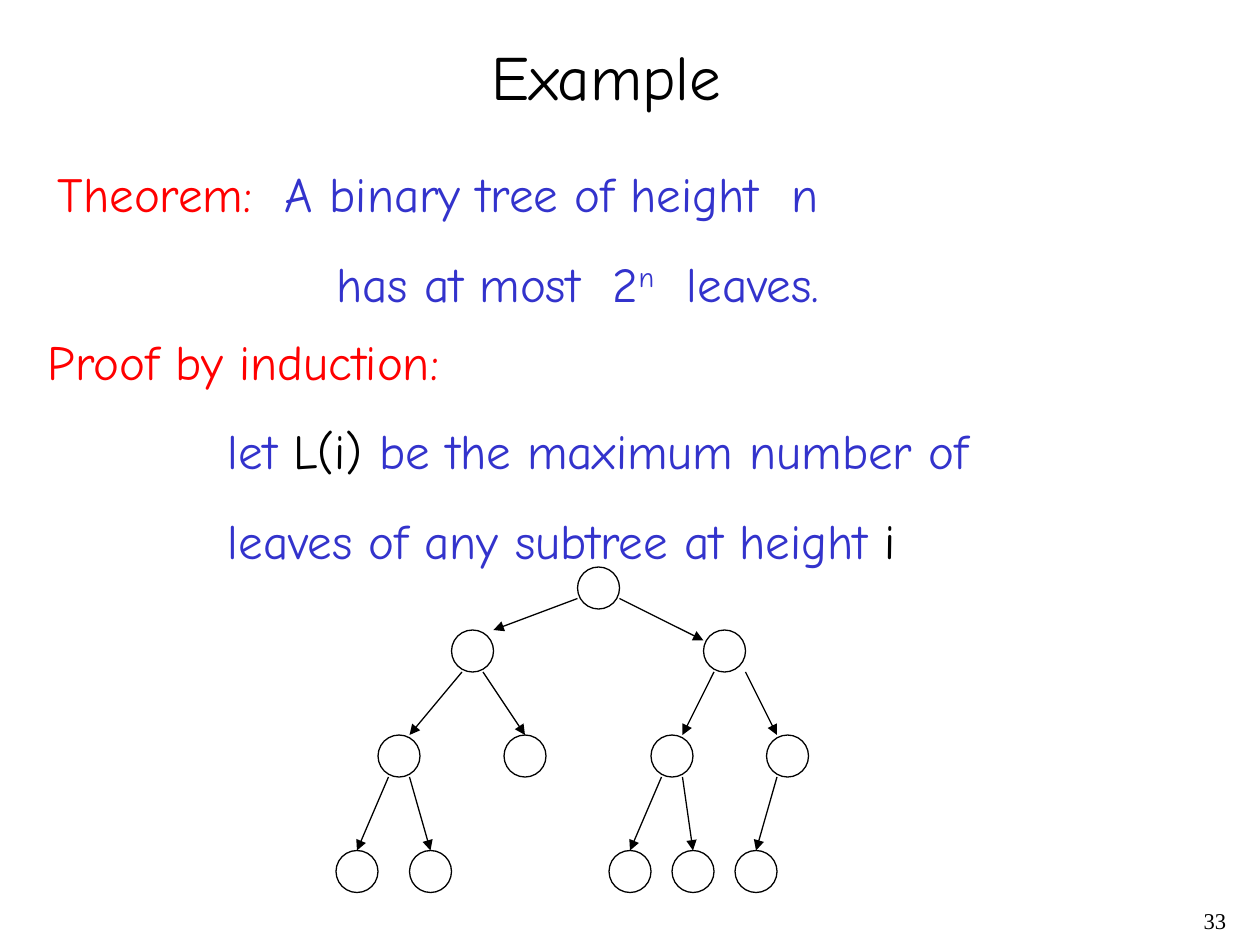
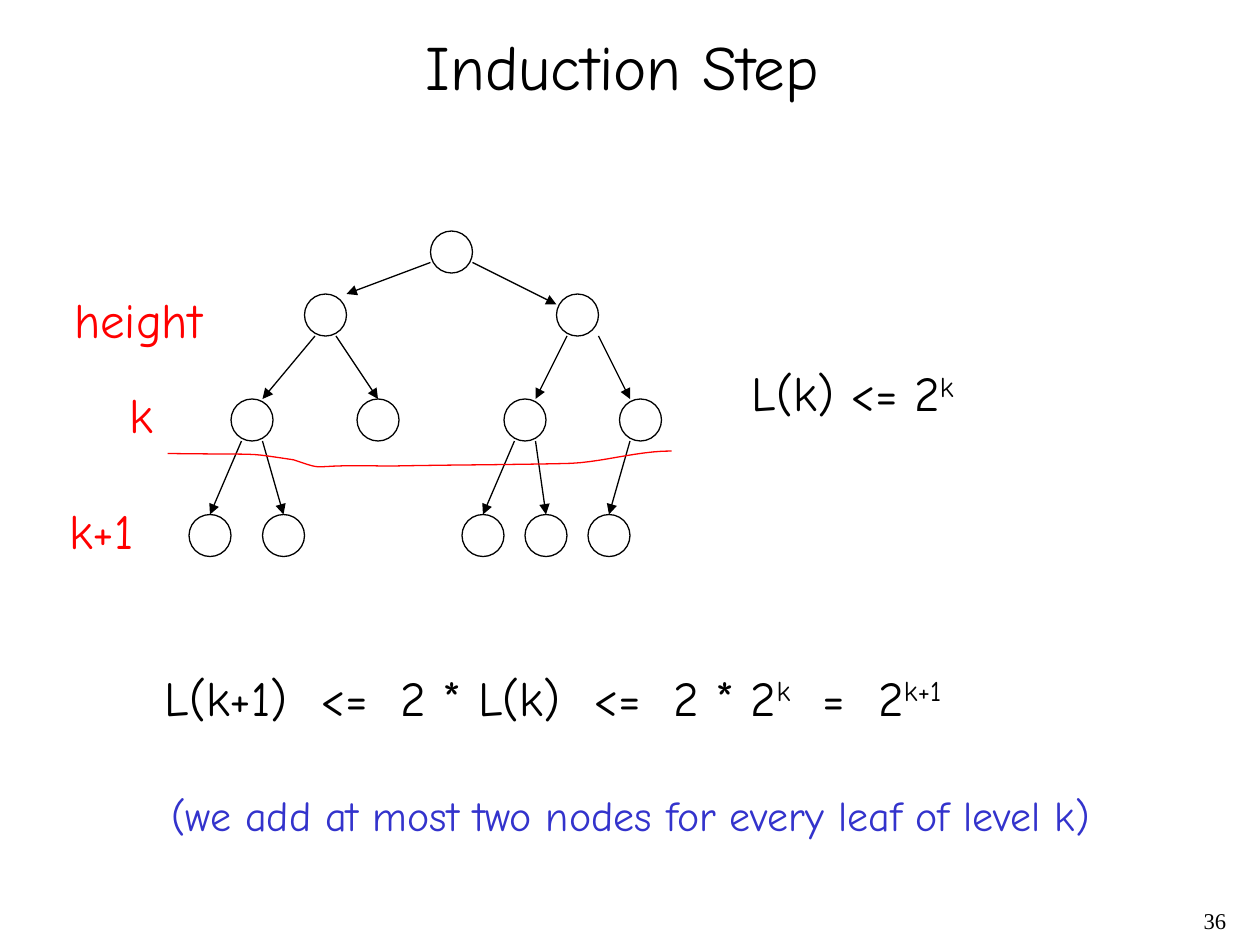
import pptx
import pptx.dml.color
import pptx.enum.shapes
import pptx.enum.text
import pptx.oxml
import pptx.oxml.ns
import pptx.util

Inches = pptx.util.Inches
Pt = pptx.util.Pt
BLACK = pptx.dml.color.RGBColor(0x00, 0x00, 0x00)
RED = pptx.dml.color.RGBColor(0xFF, 0x00, 0x00)
BLUE = pptx.dml.color.RGBColor(0x33, 0x33, 0xCC)
TEXT_FONT = "Comic Neue"
NUMBER_FONT = "Times New Roman"
TITLE_SIZE, BODY_SIZE, NOTE_SIZE = 36, 28, 24
LINE_WIDTH = Pt(0.75)

# The tree is laid out in twelfths of an inch, measured from the root's corner.
UNIT = Inches(1) // 12
NODE_SIZE = 4
TREE_LEVELS = {
    0: [0],
    6: [-12, 12],
    16: [-19, -7, 7, 18],
    27: [-23, -16, 3, 9, 15],
}
TREE_EDGES = [
    ((0, 3), (-8, 6)), ((4, 3), (12, 7)),
    ((-11, 10), (-16, 16)), ((-9, 10), (-5, 16)),
    ((13, 10), (10, 16)), ((16, 10), (19, 16)),
    ((-18, 20), (-21, 27)), ((-16, 20), (-14, 27)),
    ((8, 20), (5, 27)), ((10, 20), (11, 27)), ((19, 20), (17, 27)),
]


def add_text(slide, box, lines, size=BODY_SIZE):
    """Each line is (indent in inches, runs); a run is (text, colour, is superscript)."""
    shape = slide.shapes.add_textbox(*[Inches(length) for length in box])
    text_frame = shape.text_frame
    text_frame.word_wrap = True
    text_frame.margin_right = 0  # room so that tightly sized boxes never break a line
    for number, (indent, runs) in enumerate(lines):
        paragraph = text_frame.add_paragraph() if number else text_frame.paragraphs[0]
        paragraph.space_before = Pt(size * 0.625)
        if indent:
            paragraph._p.get_or_add_pPr().set("marL", str(Inches(indent)))
        for text, colour, superscript in runs:
            run = paragraph.add_run()
            run.text = text
            run.font.name = TEXT_FONT
            run.font.size = Pt(size)
            run.font.color.rgb = colour
            if superscript:
                run._r.get_or_add_rPr().set("baseline", "30000")


def add_tree(slide, root_left, root_top):
    node_tops = {}
    for top, lefts in TREE_LEVELS.items():
        for left in lefts:
            node = slide.shapes.add_shape(
                pptx.enum.shapes.MSO_SHAPE.OVAL,
                (root_left + left) * UNIT, (root_top + top) * UNIT,
                NODE_SIZE * UNIT, NODE_SIZE * UNIT)
            node.shadow.inherit = False
            node.fill.background()
            node.line.color.rgb = BLACK
            node.line.width = LINE_WIDTH
            node_tops[left + NODE_SIZE // 2, top] = node
    for start, end in TREE_EDGES:
        edge = slide.shapes.add_connector(
            pptx.enum.shapes.MSO_CONNECTOR.STRAIGHT,
            (root_left + start[0]) * UNIT, (root_top + start[1]) * UNIT,
            (root_left + end[0]) * UNIT, (root_top + end[1]) * UNIT)
        if end in node_tops:
            edge.end_connect(node_tops[end], 0)
        edge.line.color.rgb = BLACK
        edge.line.width = LINE_WIDTH
        arrowhead = pptx.oxml.parse_xml(
            f'<a:tailEnd {pptx.oxml.ns.nsdecls("a")} type="triangle"/>')
        edge.line._get_or_add_ln().append(arrowhead)
        edge._element.spPr.append(
            pptx.oxml.parse_xml(f'<a:effectLst {pptx.oxml.ns.nsdecls("a")}/>'))


presentation = pptx.Presentation()
presentation.slide_width = Inches(10)
presentation.slide_height = Inches(7.5)

# What both slides share: number, title and tree
slides = []
for number, title, title_box, root in [
    ("33", "Example", (3.8, 0.25, 2.03, 0.7), (55, 54)),
    ("36", "Induction Step", (3.28, 0.17, 3.33, 0.7), (41, 22)),
]:
    slide = presentation.slides.add_slide(presentation.slide_layouts[6])
    number_box = slide.shapes.add_textbox(
        Inches(7.75), Inches(7.17), Inches(2.08), Inches(0.33))
    number_box.text_frame.word_wrap = True
    paragraph = number_box.text_frame.paragraphs[0]
    paragraph.text = number
    paragraph.alignment = pptx.enum.text.PP_ALIGN.RIGHT
    paragraph.line_spacing = 0.9
    number_font = paragraph.runs[0].font
    number_font.name = NUMBER_FONT
    number_font.size = Pt(12.9)
    number_font.color.rgb = BLACK
    add_text(slide, title_box, [(0, [(title, BLACK, False)])], TITLE_SIZE)
    add_tree(slide, *root)
    slides.append(slide)
example_slide, step_slide = slides

# Example: theorem and start of the proof
add_text(example_slide, (0.36, 1.25, 6.25, 1.28), [
    (0, [("Theorem:  ", RED, False), ("A binary tree of height  n", BLUE, False)]),
    (2.21, [("has at most  2", BLUE, False), ("n", BLUE, True),
            ("  leaves.", BLUE, False)]),
])
add_text(example_slide, (0.28, 2.58, 7.63, 1.99), [
    (0, [("Proof by induction:", RED, False)]),
    (1.43, [("let ", BLUE, False), ("L(i)", BLACK, False),
            (" be the maximum number of", BLUE, False)]),
    (1.43, [("leaves of any subtree at height ", BLUE, False), ("i", BLACK, False)]),
])

# Induction step: level labels, formulas and remark
for label, box in [
    ("height", (0.49, 2.25, 1.21, 0.57)),
    ("k", (0.93, 3, 0.39, 0.57)),
    ("k+1", (0.45, 3.92, 0.71, 0.57)),
]:
    add_text(step_slide, box, [(0, [(label, RED, False)])])
add_text(step_slide, (5.87, 2.83, 1.8, 0.57), [
    (0, [("L(k) <= 2", BLACK, False), ("k", BLACK, True)]),
])
add_text(step_slide, (1.21, 5.25, 6.36, 0.57), [
    (0, [("L(k+1)  <=  2 * L(k)  <=  2 * 2", BLACK, False), ("k", BLACK, True),
         ("  =  2", BLACK, False), ("k+1", BLACK, True)]),
])
add_text(step_slide, (1.26, 6.22, 7.52, 0.5), [
    (0, [("(we add at most two nodes for every leaf of level k)", BLUE, False)]),
], NOTE_SIZE)

# Red curve between levels k and k+1, as Bézier pieces cut into short segments
curve_start = (1.33, 3.6)
curve_pieces = [
    ((2.12, 3.61), (1.93, 3.59), (2.33, 3.65)),
    ((2.63, 3.75), (2.39, 3.68), (3.08, 3.7)),
    ((3.54, 3.69), (4, 3.69), (4.46, 3.68)),
    ((4.75, 3.68), (5.04, 3.58), (5.33, 3.58)),
]
STEPS = 12
curve_points = [curve_start]
for control_1, control_2, piece_end in curve_pieces:
    piece_start = curve_points[-1]
    for step in range(1, STEPS + 1):
        t = step / STEPS
        curve_points.append(tuple(
            (1 - t) ** 3 * a + 3 * (1 - t) ** 2 * t * b + 3 * (1 - t) * t ** 2 * c + t ** 3 * d
            for a, b, c, d in zip(piece_start, control_1, control_2, piece_end)))
curve_points = [(Inches(x), Inches(y)) for x, y in curve_points]
builder = step_slide.shapes.build_freeform(*curve_points[0])
builder.add_line_segments(curve_points[1:], close=False)
level_curve = builder.convert_to_shape()
level_curve.shadow.inherit = False
level_curve.fill.background()
level_curve.line.color.rgb = RED
level_curve.line.width = LINE_WIDTH

presentation.save("out.pptx")
